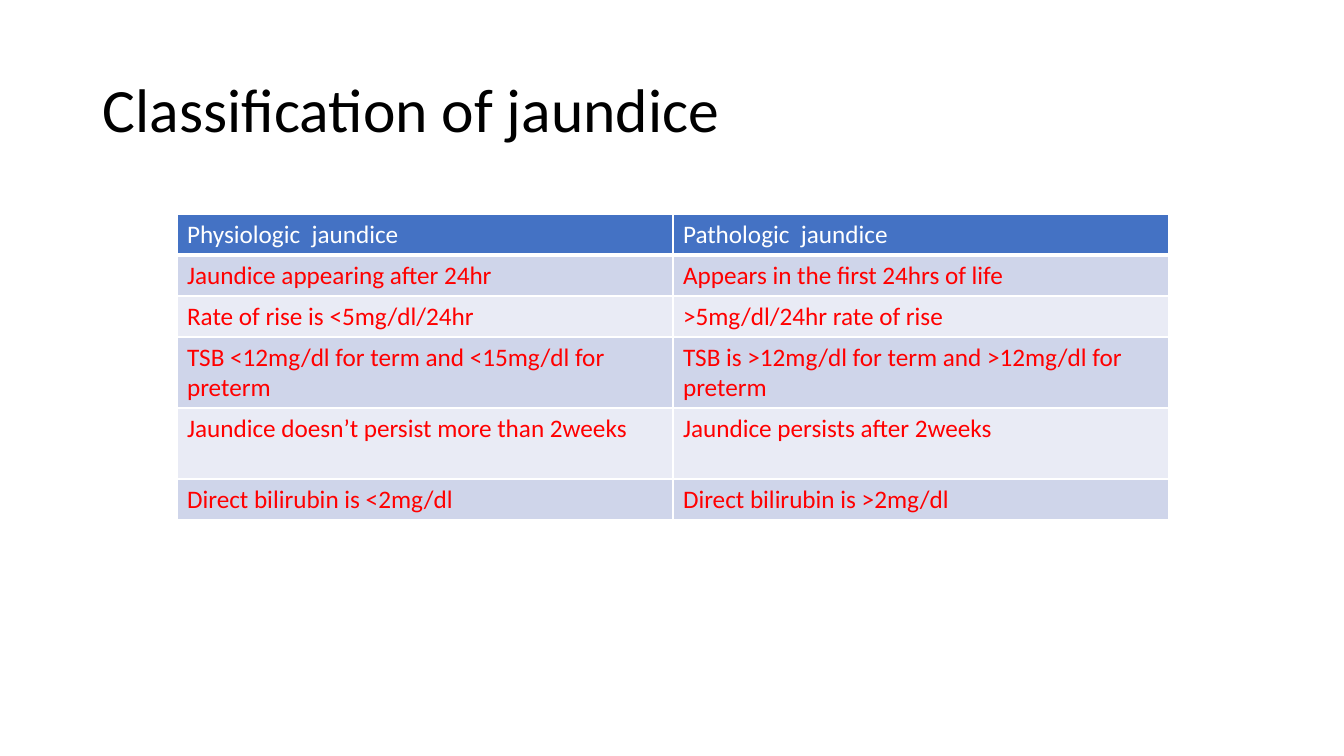
from pptx import Presentation, util as u
from pptx.dml.color import RGBColor
from pptx.enum import text
from pptx.oxml import parse_xml
from pptx.oxml.ns import nsdecls

PX = 9144000 / 1008  # EMU per px


def px(n):
    return u.Emu(round(n * PX))


def colour(hex_value):
    return RGBColor.from_string(hex_value)


deck = Presentation()
deck.slide_width, deck.slide_height = px(1344), px(756)
slide = deck.slides.add_slide(deck.slide_layouts[6])

# Title
title = slide.shapes.add_textbox(px(93), px(40), px(1159), px(146)).text_frame
title.word_wrap = True
title.vertical_anchor = text.MSO_ANCHOR.MIDDLE
heading = title.paragraphs[0]
heading.text = "Classification of jaundice"
heading.line_spacing = 0.9
heading.font.name = "Calibri"
heading.font.size = u.Pt(44)
heading.font.color.rgb = colour("000000")

# Comparison of the two types
comparison = [
    ("Physiologic  jaundice", "Pathologic  jaundice"),
    ("Jaundice appearing after 24hr", "Appears in the first 24hrs of life"),
    ("Rate of rise is <5mg/dl/24hr", ">5mg/dl/24hr rate of rise"),
    ("TSB <12mg/dl for term and <15mg/dl for preterm",
     "TSB is >12mg/dl for term and >12mg/dl for preterm"),
    ("Jaundice doesn’t persist more than 2weeks", "Jaundice persists after 2weeks"),
    ("Direct bilirubin is <2mg/dl", "Direct bilirubin is >2mg/dl"),
]
row_heights = [41, 41, 41, 71, 71, 41]
table = slide.shapes.add_table(len(comparison), 2, px(177), px(214),
                               px(992), px(sum(row_heights))).table
for column in table.columns:
    column.width = px(496)

for r, (criteria, height) in enumerate(zip(comparison, row_heights)):
    table.rows[r].height = px(height)
    header = r == 0
    fill = "4472C4" if header else ("E9EBF5", "CFD5EA")[r % 2]
    for c, criterion in enumerate(criteria):
        cell = table.cell(r, c)
        # White borders, heavier below the header
        for side in "LRTB":
            points = 3 if header and side == "B" else 1
            cell._tc.get_or_add_tcPr().append(parse_xml(
                f'<a:ln{side} {nsdecls("a")} w="{u.Pt(points)}"><a:solidFill>'
                f'<a:srgbClr val="FFFFFF"/></a:solidFill></a:ln{side}>'))
        cell.fill.solid()
        cell.fill.fore_color.rgb = colour(fill)
        line = cell.text_frame.paragraphs[0]
        line.text = criterion
        line.font.name = "Calibri"
        line.font.size = u.Pt(18)
        line.font.bold = False
        line.font.color.rgb = colour("FFFFFF" if header else "FF0000")

deck.save("out.pptx")
